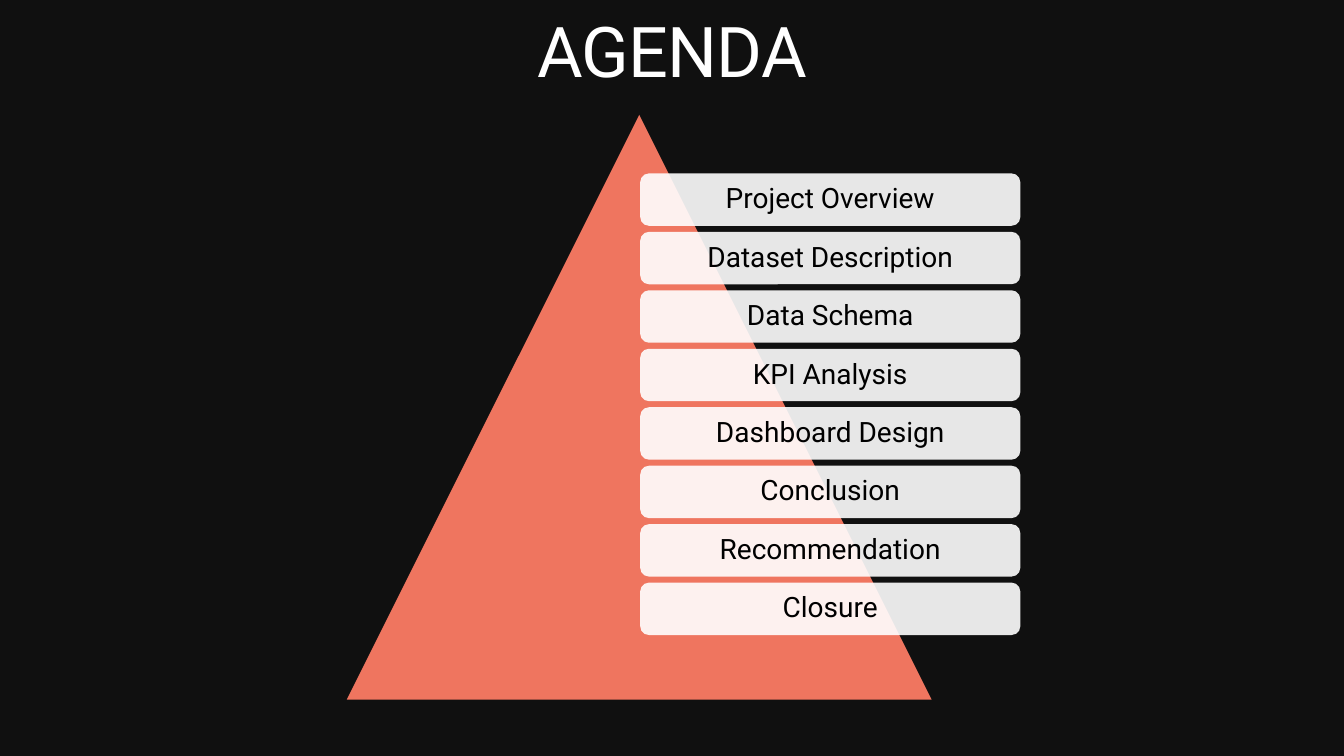
from pptx import Presentation
from pptx.dml.color import RGBColor
from pptx.enum.shapes import MSO_SHAPE as SHAPE
from pptx.enum.text import MSO_ANCHOR as ANCHOR, PP_ALIGN as ALIGN
from pptx.oxml.ns import qn
from pptx.util import Inches, Pt
from lxml import etree

COLORS = {"back": "101010", "coral": "EF755F", "white": "FFFFFF", "black": "000000"}
FONT = "Roboto"
TOPICS = ["Project Overview", "Dataset Description", "Data Schema", "KPI Analysis",
          "Dashboard Design", "Conclusion", "Recommendation", "Closure"]


def add_filled(kind, left, top, width, height, color):
    sp = s.shapes.add_shape(kind, Inches(left), Inches(top), Inches(width), Inches(height))
    sp.shadow.inherit = False
    sp.fill.solid()
    sp.fill.fore_color.rgb = RGBColor.from_string(COLORS[color])
    sp.line.fill.background()
    return sp


def write(tf, text, size, color):
    tf.word_wrap = True
    tf.text = text
    p = tf.paragraphs[0]
    p.alignment = ALIGN.CENTER
    r = p.runs[0]
    r.font.name = FONT
    r.font.size = Pt(size)
    r.font.color.rgb = RGBColor.from_string(COLORS[color])
    return p


prs = Presentation()
prs.slide_width, prs.slide_height = Inches(13.33), Inches(7.5)
s = prs.slides.add_slide(prs.slide_layouts[6])
s.background.fill.solid()
s.background.fill.fore_color.rgb = RGBColor.from_string(COLORS["back"])

# Title
title = s.shapes.add_textbox(Inches(2.91), Inches(0.06), Inches(7.51), Inches(0.85))
tf = title.text_frame
tf.margin_left = tf.margin_right = tf.margin_bottom = 0
tf.margin_top = Inches(0.01)
p = write(tf, "AGENDA", 50, "white")
p.runs[0].font._element.set("spc", "-60")

# Pyramid
add_filled(SHAPE.ISOSCELES_TRIANGLE, 3.44, 1.14, 5.8, 5.8, "coral")

# Topic bars, evenly stacked and slightly see-through
for i, topic in enumerate(TOPICS):
    bar = add_filled(SHAPE.ROUNDED_RECTANGLE, 6.35, 1.72 + 0.58 * i, 3.77, 0.52, "white")
    rgb = bar.fill._xPr.find(qn("a:solidFill"))[0]
    etree.SubElement(rgb, qn("a:alpha")).set("val", "90000")
    tf = bar.text_frame
    tf.vertical_anchor = ANCHOR.MIDDLE
    tf.margin_left = tf.margin_right = Inches(0.08)
    tf.margin_top = tf.margin_bottom = Inches(0.05)
    p = write(tf, topic, 20, "black")
    p.line_spacing = 0.9

prs.save("out.pptx")
